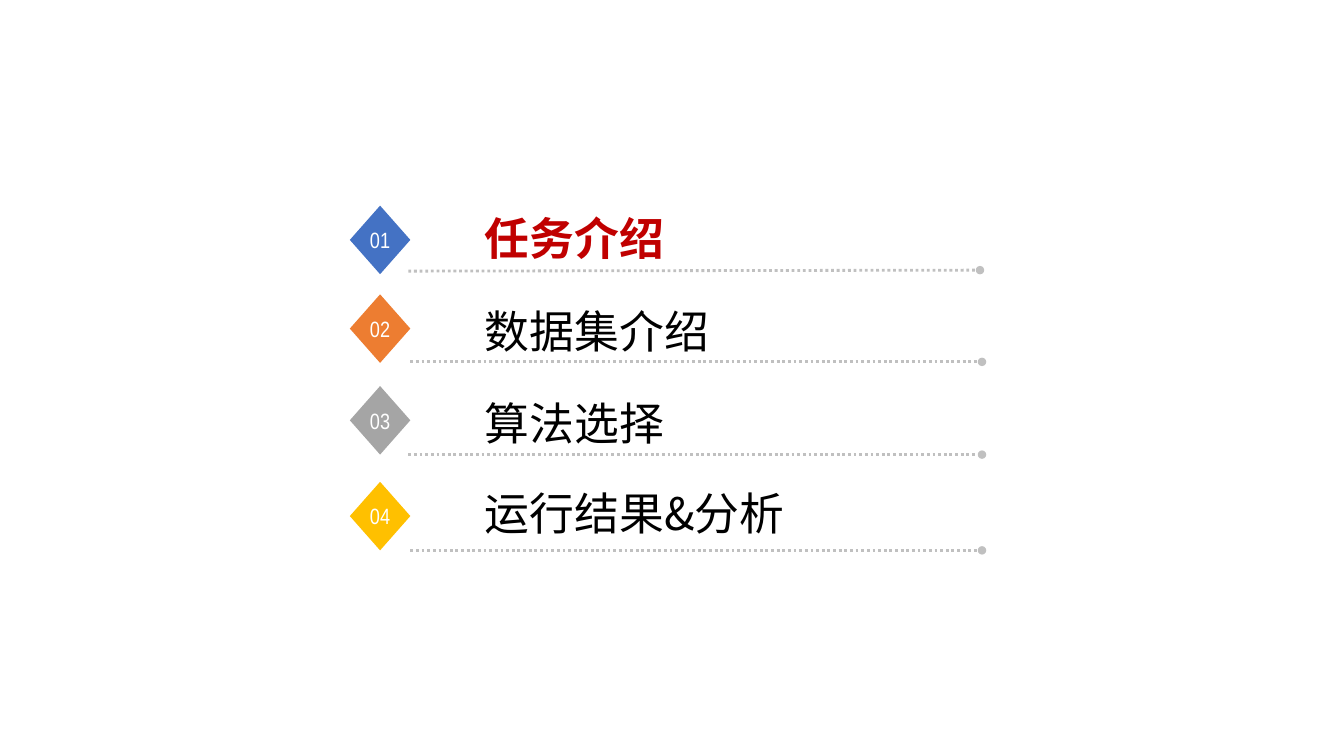
"""Build the agenda slide with four numbered topics."""
from lxml.etree import SubElement
from pptx import Presentation
from pptx.dml.color import RGBColor
from pptx.enum.dml import MSO_LINE
from pptx.enum.shapes import MSO_CONNECTOR, MSO_SHAPE
from pptx.enum.text import MSO_ANCHOR, MSO_AUTO_SIZE, PP_ALIGN
from pptx.oxml.ns import qn
from pptx.util import Inches, Pt

BLUE = RGBColor(0x44, 0x72, 0xC4)
ORANGE = RGBColor(0xED, 0x7D, 0x31)
GREY = RGBColor(0xA5, 0xA5, 0xA5)
GOLD = RGBColor(0xFF, 0xC0, 0x00)
RED = RGBColor(0xC0, 0x00, 0x00)
BLACK = RGBColor(0x00, 0x00, 0x00)
WHITE = RGBColor(0xFF, 0xFF, 0xFF)
RULE_GREY = RGBColor(0xC0, 0xC0, 0xC0)

TOPIC_FONT = "Noto Sans CJK SC"
NUMBER_FONT = "Arial Narrow"

# topic, diamond colour, diamond top, topic top, topic width, rule start, rule end
AGENDA = [
    ("任务介绍", BLUE, 2.04, 2.04, 5.13, (4.05, 2.69), (9.72, 2.68)),
    ("数据集介绍", ORANGE, 2.92, 2.96, 5.15, (4.07, 3.59), (9.74, 3.59)),
    ("算法选择", GREY, 3.83, 3.88, 5.13, (4.05, 4.51), (9.74, 4.51)),
    ("运行结果&分析", GOLD, 4.78, 4.77, 5.07, (4.07, 5.46), (9.74, 5.46)),
]
CURRENT = 1


def style_text(paragraph, font_name, size, colour, bold=False):
    """Format every run of a paragraph, East Asian font included."""
    for run in paragraph.runs:
        font = run.font
        font.name = font_name
        font.size = Pt(size)
        font.bold = bold
        font.color.rgb = colour
        SubElement(run._r.get_or_add_rPr(), qn("a:ea"), typeface=font_name)


def add_rule(slide, start, end):
    """Draw a dotted rule that ends in a dot."""
    rule = slide.shapes.add_connector(
        MSO_CONNECTOR.STRAIGHT, *(Inches(length) for length in start + end))
    rule.line.color.rgb = RULE_GREY
    rule.line.width = Pt(2)
    rule.line.dash_style = MSO_LINE.ROUND_DOT
    SubElement(rule.line._get_or_add_ln(), qn("a:tailEnd"), type="oval")
    SubElement(rule._element.spPr, qn("a:effectLst"))


def add_topic(slide, topic, top, width, is_current):
    """Write a topic, highlighted when it is the current one."""
    label = slide.shapes.add_textbox(
        Inches(4.71), Inches(top), Inches(width), Inches(0.64))
    frame = label.text_frame
    frame.word_wrap = True
    frame.auto_size = MSO_AUTO_SIZE.SHAPE_TO_FIT_TEXT
    frame.text = topic
    style_text(frame.paragraphs[0], TOPIC_FONT, 32,
               RED if is_current else BLACK, is_current)


def add_number(slide, number, top, colour):
    """Draw a coloured diamond that holds a two-digit number."""
    diamond = slide.shapes.add_shape(
        MSO_SHAPE.DIAMOND, Inches(3.47), Inches(top), Inches(0.6), Inches(0.68))
    diamond.shadow.inherit = False
    diamond.fill.solid()
    diamond.fill.fore_color.rgb = colour
    diamond.line.fill.background()
    frame = diamond.text_frame
    frame.word_wrap = False
    frame.vertical_anchor = MSO_ANCHOR.MIDDLE
    frame.text = f"{number:02d}"
    frame.paragraphs[0].alignment = PP_ALIGN.CENTER
    style_text(frame.paragraphs[0], NUMBER_FONT, 15.8, WHITE)


def main():
    """Build and save the agenda."""
    deck = Presentation()
    deck.slide_width = Inches(13.33)
    deck.slide_height = Inches(7.5)
    slide = deck.slides.add_slide(deck.slide_layouts[6])
    for number, entry in enumerate(AGENDA, 1):
        topic, colour, diamond_top, topic_top, width, start, end = entry
        add_rule(slide, start, end)
        add_topic(slide, topic, topic_top, width, number == CURRENT)
        add_number(slide, number, diamond_top, colour)
    deck.save("out.pptx")


if __name__ == "__main__":
    main()
